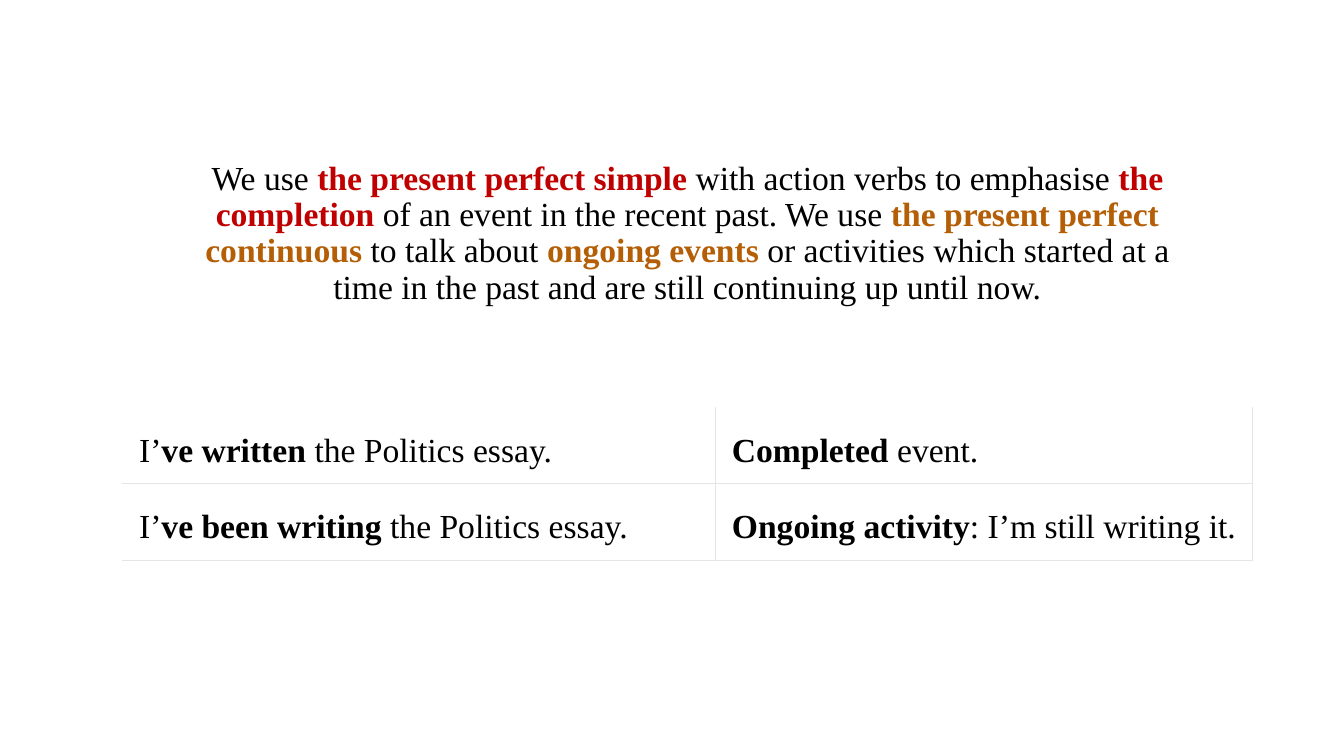
from lxml import etree
from pptx import Presentation, util as u
from pptx.dml.color import RGBColor
from pptx.enum import text
from pptx.oxml.ns import qn

BLACK, RED, OCHRE, GREY = "000000", "C00000", "B45F06", "E5E4E9"

RULE = [
    ("We use ", BLACK, False),
    ("the present perfect simple ", RED, True),
    ("with action verbs to emphasise ", BLACK, False),
    ("the completion", RED, True),
    (" of an event in the recent past. We use ", BLACK, False),
    ("the present perfect continuous", OCHRE, True),
    (" to talk about ", BLACK, False),
    ("ongoing events", OCHRE, True),
    (" or activities which started at a time in the past and are still "
     "continuing up until now.", BLACK, False),
]

EXAMPLES = [
    [
        [("I’", BLACK, False), ("ve written ", BLACK, True),
         ("the Politics essay.", BLACK, False)],
        [("Completed ", BLACK, True), ("event.", BLACK, False)],
    ],
    [
        [("I’", BLACK, False), ("ve been writing ", BLACK, True),
         ("the Politics essay.", BLACK, False)],
        [("Ongoing activity", BLACK, True),
         (": I’m still writing it.", BLACK, False)],
    ],
]


def colour(value):
    return RGBColor.from_string(value)


def apply(target, values):
    for name, value in values.items():
        setattr(target, name, value)


class GrammarSlide:
    """Draws text and tables on one slide, with lengths in percent of its size."""

    font = {"name": "Times New Roman", "size": u.Pt(24)}
    box_format = {
        "word_wrap": True,
        "vertical_anchor": text.MSO_ANCHOR.TOP,
        "margin_left": u.Inches(0.1),
        "margin_right": u.Inches(0.1),
        "margin_top": u.Inches(0.05),
        "margin_bottom": u.Inches(0.05),
    }
    cell_format = {
        "vertical_anchor": text.MSO_ANCHOR.TOP,
        "margin_left": u.Inches(0.16),
        "margin_right": u.Inches(0.05),
        "margin_top": u.Inches(0.1),
        "margin_bottom": u.Inches(0.1),
    }

    def __init__(self, presentation):
        self.width = presentation.slide_width
        self.height = presentation.slide_height
        self.slide = presentation.slides.add_slide(presentation.slide_layouts[6])

    def across(self, share):
        return round(self.width * share / 100)

    def down(self, share):
        return round(self.height * share / 100)

    def fill_paragraph(self, paragraph, runs, **paragraph_format):
        apply(paragraph, paragraph_format)
        for words, hue, bold in runs:
            run = paragraph.add_run()
            run.text = words
            apply(run.font, {**self.font, "bold": bold})
            run.font.color.rgb = colour(hue)

    def text_box(self, left, top, width, height, runs):
        box = self.slide.shapes.add_textbox(
            self.across(left), self.down(top), self.across(width), self.down(height))
        apply(box.text_frame, self.box_format)
        self.fill_paragraph(box.text_frame.paragraphs[0], runs,
                            alignment=text.PP_ALIGN.CENTER, line_spacing=0.9)

    def border(self, cell, sides):
        properties = cell._tc.get_or_add_tcPr()
        for side in sides:
            line = etree.SubElement(properties, qn(f"a:ln{side}"), w=str(u.Pt(0.75)))
            fill = etree.SubElement(line, qn("a:solidFill"))
            etree.SubElement(fill, qn("a:srgbClr"), val=GREY)

    def table(self, left, top, widths, row_height, rows):
        table = self.slide.shapes.add_table(
            len(rows), len(widths), self.across(left), self.down(top),
            self.across(sum(widths)), self.down(row_height * len(rows))).table
        apply(table, {"first_row": False, "horz_banding": False})
        for column, width in zip(table.columns, widths):
            column.width = self.across(width)
        for i, row in enumerate(rows):
            for j, runs in enumerate(row):
                cell = table.cell(i, j)
                apply(cell, self.cell_format)
                self.border(cell, ("L" if j else "") + "R" + ("T" if i else "") + "B")
                cell.fill.background()
                self.fill_paragraph(cell.text_frame.paragraphs[0], runs, line_spacing=1.4)


def main():
    presentation = Presentation()
    apply(presentation, {"slide_width": u.Inches(13.33), "slide_height": u.Inches(7.5)})
    slide = GrammarSlide(presentation)
    slide.text_box(13.65, 20.67, 75, 29.33, RULE)
    slide.table(9.15, 53.87, [44.11, 39.91], 8, EXAMPLES)
    presentation.save("out.pptx")


if __name__ == "__main__":
    main()
